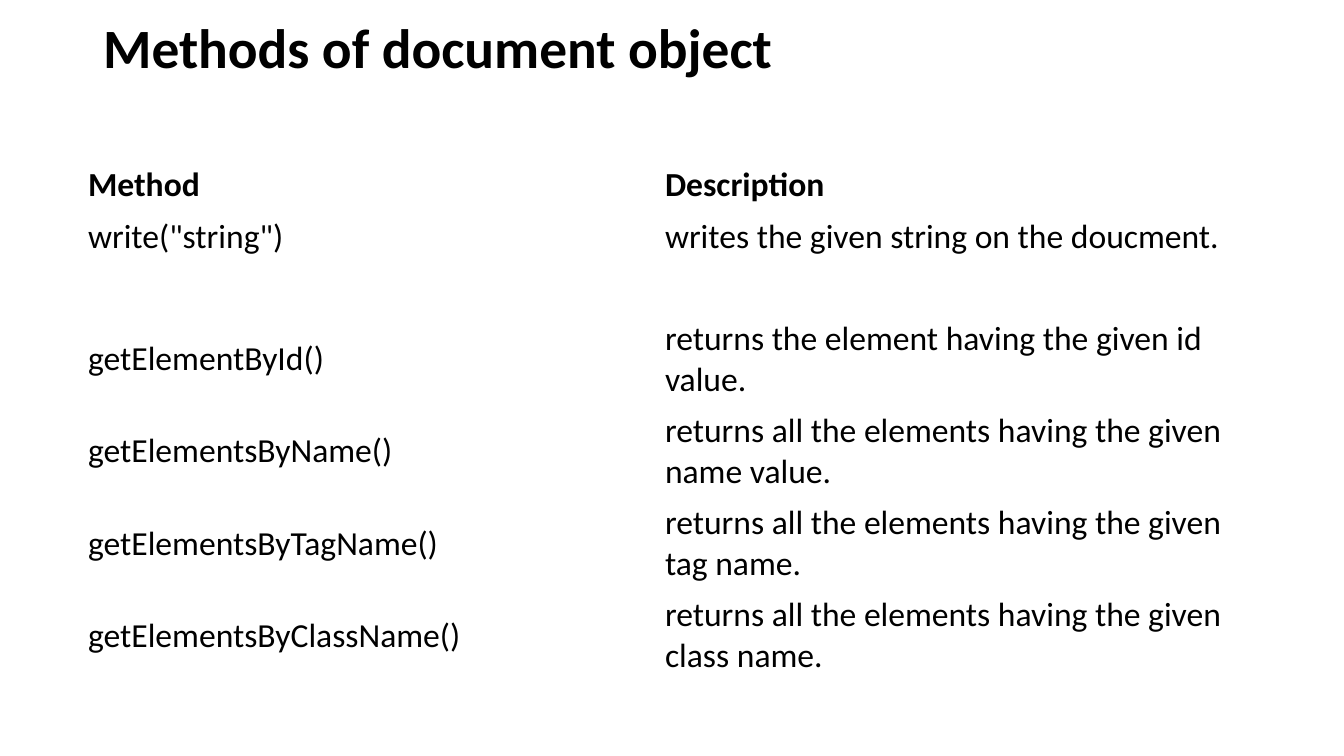
"""Build the slide listing the methods of the document object."""
from dataclasses import dataclass

from pptx import Presentation, util as u
from pptx.dml.color import RGBColor
from pptx.enum import text

EMU_PER_PX = 914400 / 100.8
BLACK = RGBColor(0x00, 0x00, 0x00)
LINE_HEIGHT, ROW_PADDING = 41, 10
COLUMN_WIDTH = 577


@dataclass(frozen=True)
class MethodRow:
    method: str
    description: str
    lines: int = 1
    bold: bool = False

    @property
    def height(self) -> int:
        return self.lines * LINE_HEIGHT + ROW_PADDING


METHOD_ROWS = [
    MethodRow("Method", "Description", bold=True),
    MethodRow('write("string")', "writes the given string on the doucment."),
    MethodRow("", ""),
    MethodRow("getElementById()", "returns the element having the given id value.", 2),
    MethodRow("getElementsByName()", "returns all the elements having the given name value.", 2),
    MethodRow("getElementsByTagName()", "returns all the elements having the given tag name.", 2),
    MethodRow("getElementsByClassName()", "returns all the elements having the given class name.", 2),
]


def px(length: int) -> u.Emu:
    return u.Emu(round(length * EMU_PER_PX))


def apply(target, formats: dict) -> None:
    for attribute, value in formats.items():
        setattr(target, attribute, value)


def format_font(font, size: float, bold: bool) -> None:
    apply(font, {"name": "Calibri", "size": u.Pt(size), "bold": bold})
    font.color.rgb = BLACK


def write_heading(heading) -> None:
    apply(heading, {"left": px(93), "top": px(40), "width": px(1159), "height": px(82)})
    frame = heading.text_frame
    frame.text = "Methods of document object"
    apply(frame, {
        "auto_size": text.MSO_AUTO_SIZE.NONE,
        "vertical_anchor": text.MSO_ANCHOR.MIDDLE,
        "margin_top": px(5),
        "margin_bottom": px(66),
    })
    line = frame.paragraphs[0]
    apply(line, {"alignment": text.PP_ALIGN.LEFT, "line_spacing": 0.9})
    format_font(line.runs[0].font, 39.6, True)


def add_methods(slide, rows: list[MethodRow]) -> None:
    total_height = sum(row.height for row in rows)
    methods = slide.shapes.add_table(
        len(rows), 2, px(78), px(160), px(2 * COLUMN_WIDTH), px(total_height)
    ).table
    apply(methods, {"first_row": False, "horz_banding": False})
    for grid_row, row in zip(methods.rows, rows):
        grid_row.height = px(row.height)
        for cell, wording in zip(grid_row.cells, (row.method, row.description)):
            cell.fill.background()
            cell.vertical_anchor = text.MSO_ANCHOR.MIDDLE
            cell.text = wording
            format_font(cell.text_frame.paragraphs[0].font, 24, row.bold)


def main() -> None:
    deck = Presentation()
    apply(deck, {"slide_width": px(1344), "slide_height": px(756)})
    slide = deck.slides.add_slide(deck.slide_layouts[5])
    write_heading(slide.shapes.title)
    add_methods(slide, METHOD_ROWS)
    deck.save("out.pptx")


if __name__ == "__main__":
    main()
